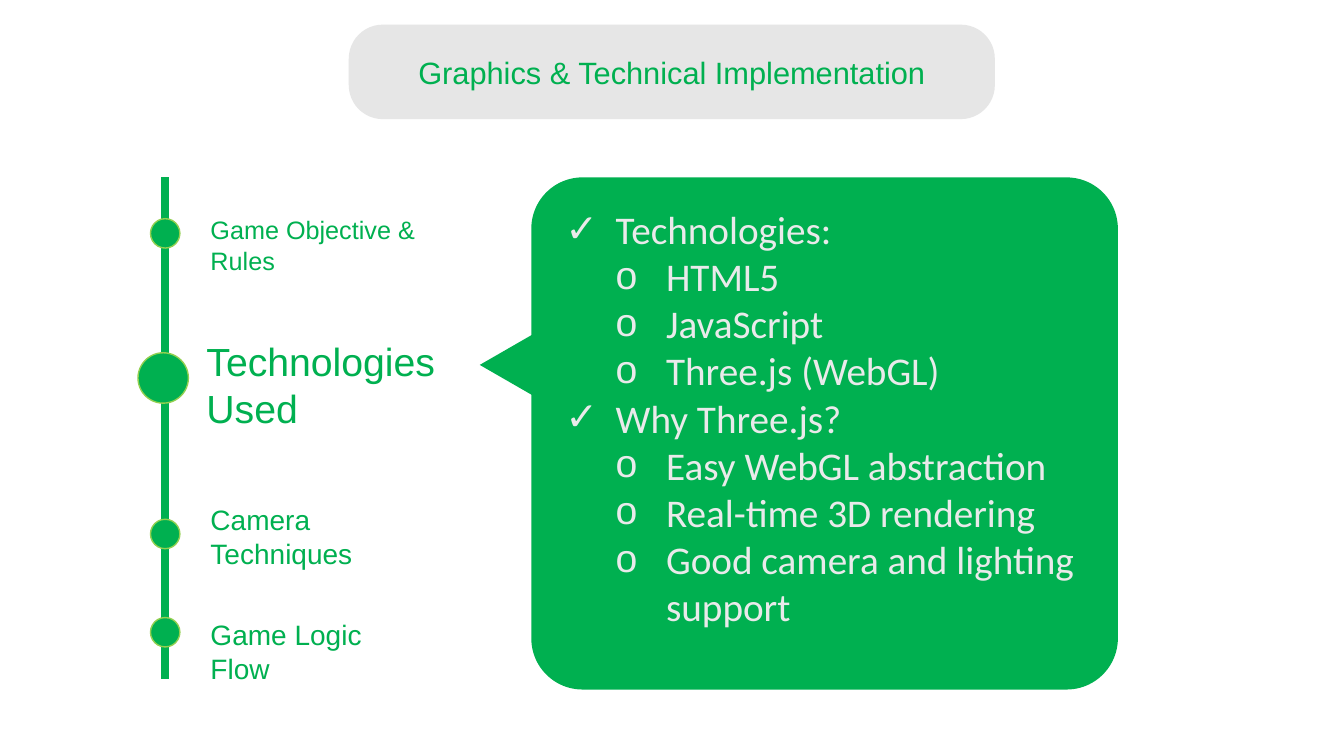
from pptx import Presentation
from pptx.dml.color import RGBColor
from pptx.enum.shapes import MSO_CONNECTOR, MSO_SHAPE as SHAPE
from pptx.enum.text import MSO_ANCHOR, MSO_AUTO_SIZE, PP_ALIGN
from pptx.oxml.ns import qn
from pptx.util import Pt
from lxml import etree

GREEN, LIME, GREY, PALE = "00B050", "92D050", "D9D9D9", "E9EAEA"
TIMELINE_X = 118

# dot centre x, centre y, diameter; label left, top, width, height, text size
STOPS = [
    ("Game Objective & Rules", (118, 166.7, 21), (143.3, 149.8, 161, 51), 18),
    ("Technologies Used", (116.6, 270, 36), (140.4, 237.6, 193, 75), 28),
    ("Camera Techniques", (118, 381.4, 21), (143.3, 355.7, 161, 55.5), 20),
    ("Game Logic Flow", (118, 451.6, 21), (143.3, 437.8, 155, 55.5), 20),
]

TECHNOLOGIES = [
    ("Technologies:", ["HTML5", "JavaScript", "Three.js (WebGL)"]),
    ("Why Three.js?", ["Easy WebGL abstraction", "Real-time 3D rendering",
                       "Good camera and lighting support"]),
]


def rgb(color):
    return RGBColor.from_string(color)


def format_runs(p, size, font, color):
    for r in p.runs:
        r.font.size = Pt(size)
        r.font.name = font
        r.font.color.rgb = rgb(color)


def add_shape(s, kind, box, fill, line=None):
    sp = s.shapes.add_shape(kind, *map(Pt, box))
    sp.shadow.inherit = False
    sp.fill.solid()
    sp.fill.fore_color.rgb = rgb(fill)
    if line:
        sp.line.color.rgb = rgb(line)
        sp.line.width = Pt(1)
    else:
        sp.line.fill.background()
    return sp


def add_text_frame(s, box):
    tf = s.shapes.add_textbox(*map(Pt, box)).text_frame
    tf.word_wrap = True
    tf.auto_size = MSO_AUTO_SIZE.SHAPE_TO_FIT_TEXT
    return tf


def add_title(s, text):
    sp = add_shape(s, SHAPE.ROUNDED_RECTANGLE, (249.1, 17.6, 461.5, 67.5), GREY)
    sp.adjustments[0] = 0.36
    color = sp.fill._xPr.find(qn("a:solidFill"))[0]
    etree.SubElement(color, qn("a:alpha")).set("val", "65000")
    tf = sp.text_frame
    tf.word_wrap = True
    tf.vertical_anchor = MSO_ANCHOR.MIDDLE
    p = tf.paragraphs[0]
    p.text = text
    p.alignment = PP_ALIGN.CENTER
    format_runs(p, 22, "Arial", GREEN)


def add_timeline(s):
    x = Pt(TIMELINE_X)
    line = s.shapes.add_connector(MSO_CONNECTOR.STRAIGHT, x, Pt(126.7), x, Pt(485.3))
    line.line.color.rgb = rgb(GREEN)
    line.line.width = Pt(6)
    etree.SubElement(line._element.spPr, qn("a:effectLst"))


def add_stop(s, text, dot, label_box, size):
    x, y, d = dot
    add_shape(s, SHAPE.OVAL, (x - d / 2, y - d / 2, d, d), GREEN, LIME)
    p = add_text_frame(s, label_box).paragraphs[0]
    p.text = text
    format_runs(p, size, "Arial", GREEN)


def add_callout(s):
    pointer = add_shape(s, SHAPE.ISOSCELES_TRIANGLE, (339.1, 236.9, 54.7, 47.5), GREEN)
    pointer.rotation = 270
    panel = add_shape(s, SHAPE.ROUNDED_RECTANGLE, (379.5, 126.7, 419, 365.8), GREEN)
    panel.adjustments[0] = 0.1


def set_bullet(p, level, char):
    """Give the paragraph a bullet with a 36 pt hanging indent per level."""
    p.level = level
    pPr = p._p.get_or_add_pPr()
    pPr.set("marL", str(Pt(36 * (level + 1))))
    pPr.set("indent", str(-Pt(36)))
    etree.SubElement(pPr, qn("a:buFont")).set("typeface", "Arial")
    etree.SubElement(pPr, qn("a:buChar")).set("char", char)


def add_bullets(s, groups):
    tf = add_text_frame(s, (396.7, 143.3, 409.7, 312.5))
    lines = [line for heading, items in groups
             for line in [(0, "✓", heading)] + [(1, "o", item) for item in items]]
    for i, (level, char, text) in enumerate(lines):
        p = tf.add_paragraph() if i else tf.paragraphs[0]
        p.text = text
        set_bullet(p, level, char)
        format_runs(p, 28, "Calibri", PALE)


def main():
    prs = Presentation()
    prs.slide_width, prs.slide_height = Pt(960), Pt(540)
    s = prs.slides.add_slide(prs.slide_layouts[6])
    add_title(s, "Graphics & Technical Implementation")
    add_timeline(s)
    for stop in STOPS:
        add_stop(s, *stop)
    add_callout(s)
    add_bullets(s, TECHNOLOGIES)
    prs.save("out.pptx")


if __name__ == "__main__":
    main()
